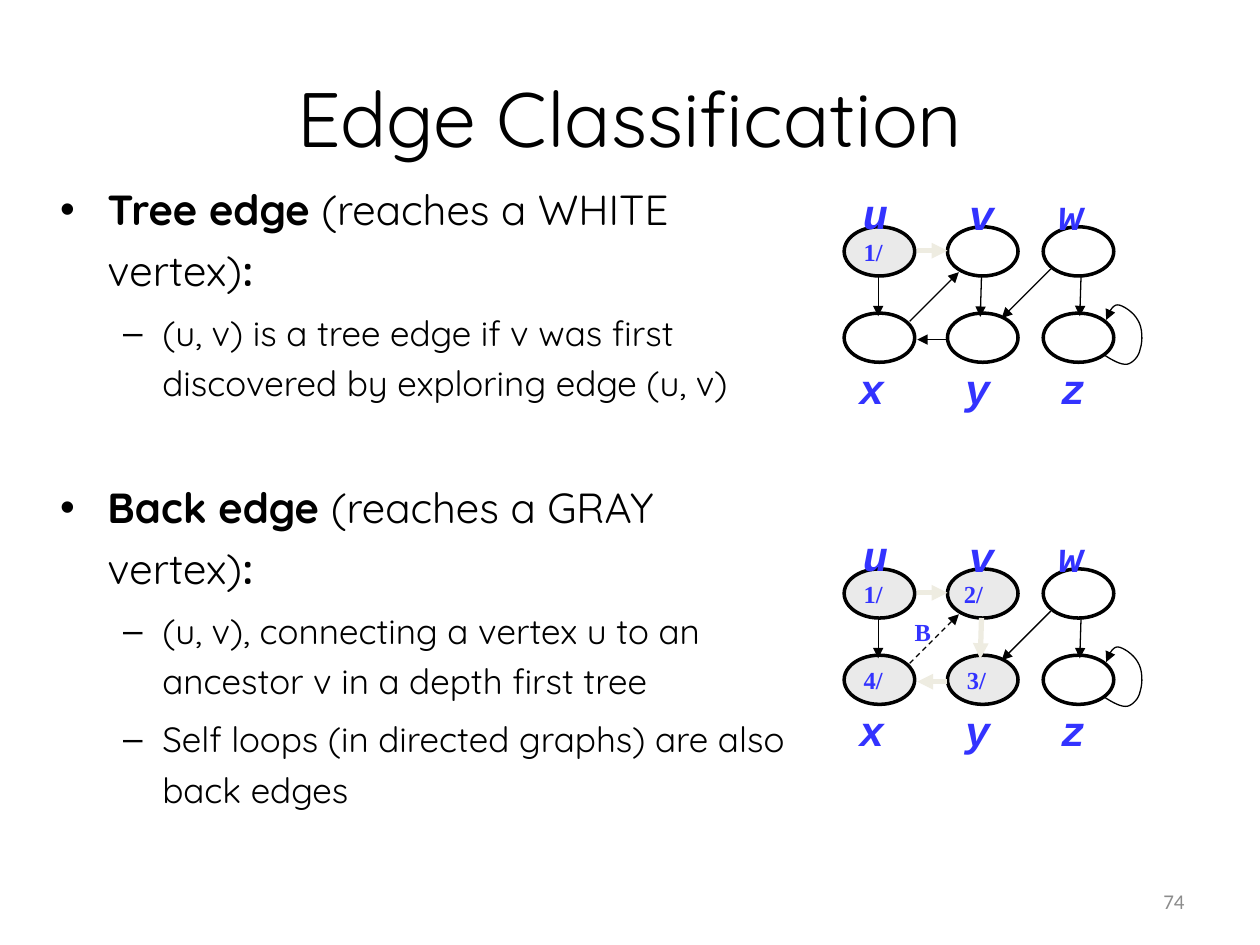
from dataclasses import dataclass, field

import pptx
import pptx.dml.color
import pptx.enum.dml
import pptx.enum.shapes
import pptx.enum.text
import pptx.oxml
import pptx.oxml.ns
import pptx.util

ALIGN = pptx.enum.text.PP_ALIGN
ANCHOR = pptx.enum.text.MSO_ANCHOR


@dataclass(frozen=True)
class Theme:
    cell: float = 0.1
    black: str = "000000"
    blue: str = "3333FF"
    gray: str = "EAEAEA"
    cream: str = "EEECE1"
    mute: str = "8C8C8C"
    sans: str = "Quicksand"
    serif: str = "Times New Roman"
    mono: str = "Courier New"
    foot: str = "Calibri"
    head: int = 44
    main: int = 24
    sub: int = 20
    mark: int = 14
    small: int = 12
    thin: float = 0.75
    rim: float = 2
    thick: float = 3


@dataclass(frozen=True)
class Point:
    level: int
    words: tuple[tuple[str, bool], ...]
    before: float


@dataclass(frozen=True)
class Graph:
    top: float
    marks: dict[str, str]
    tree: set[str]
    back: set[str] = field(default_factory=set)


T = Theme()
COLS, ROWS = (67, 75.2, 82.8), (0, 6.85)
NODE = (5.6, 3.9)
NODES = {name: (COLS[i % 3], ROWS[i // 3]) for i, name in enumerate("uvwxyz")}
NAMES = {
    "u": (67.5, -3.6, 3.2), "v": (75.9, -3.5, 3.1), "w": (83, -3.5, 3.7),
    "x": (67.2, 10.25, 3.1), "y": (75.6, 10.25, 3), "z": (83.2, 10.25, 3.1),
}
EDGES = {
    "ux": (69.7, 3.85, 69.7, 7.1), "vy": (77.9, 3.9, 77.8, 7.15),
    "wz": (85.8, 3.85, 85.7, 7.1), "uv": (72.8, 1.9, 75.2, 1.9),
    "yx": (75.2, 8.95, 72.8, 8.95), "wy": (83.4, 3.35, 79.5, 7.25),
    "xv": (72.2, 7.5, 76.1, 3.6),
}
LOOP = (
    ((87.6, 10.15), (88.3, 10.6), (89, 11), (89.5, 10.9)),
    ((89.5, 10.9), (89.9, 10.8), (90.4, 10.3), (90.5, 9.7)),
    ((90.5, 9.7), (90.7, 9.1), (90.7, 8), (90.3, 7.4)),
    ((90.3, 7.4), (90, 6.8), (89.1, 6.2), (88.7, 6.2)),
    ((88.7, 6.2), (88.3, 6.2), (88, 6.8), (87.8, 7.4)),
)
GRAPHS = (
    Graph(18, {"u": "1/"}, {"uv"}),
    Graph(45.15, {"u": "1/", "v": "2/", "x": "4/", "y": "3/"},
          {"uv", "vy", "yx"}, {"xv"}),
)
POINTS = (
    Point(0, (("Tree edge ", True), ("(reaches a WHITE vertex)", False), (":", True)), 0),
    Point(1, (("(u, v) is a tree edge if v was first discovered by exploring edge (u, v)", False),), 4.6),
    Point(0, (("Back edge ", True), ("(reaches a GRAY vertex)", False), (":", True)), 39),
    Point(1, (("(u, v), connecting a vertex u to an ancestor v in a depth first tree", False),), 4.6),
    Point(1, (("Self loops (in directed graphs) are also back edges", False),), 4.6),
)


def grid(*cells: float) -> list[int]:
    return [pptx.util.Inches(c * T.cell) for c in cells]


def tint(code: str):
    return pptx.dml.color.RGBColor.from_string(code)


def style(run, size: float, face: str, color: str, bold=False, slant=False) -> None:
    font = run.font
    font.size, font.name = pptx.util.Pt(size), face
    font.bold, font.italic = bold, slant
    font.color.rgb = tint(color)


def write(frame, text: str, *look, align=ALIGN.CENTER, anchor=ANCHOR.TOP, wrap=False) -> None:
    frame.text = text
    frame.word_wrap = wrap
    frame.vertical_anchor = anchor
    line = frame.paragraphs[0]
    line.alignment = align
    style(line.runs[0], *look)


def label(shapes, box: tuple, text: str, *look, **place) -> None:
    write(shapes.add_textbox(*grid(*box)).text_frame, text, *look, **place)


def add_tag(owner, tag: str, **values: str) -> None:
    node = pptx.oxml.parse_xml(f"<a:{tag} {pptx.oxml.ns.nsdecls('a')}/>")
    for key, value in values.items():
        node.set(key, value)
    owner.append(node)


def arrow(line, color: str, width: float) -> None:
    line.color.rgb = tint(color)
    line.width = pptx.util.Pt(width)


def draw_node(shapes, left: float, top: float, mark: str) -> None:
    oval = shapes.add_shape(pptx.enum.shapes.MSO_SHAPE.OVAL, *grid(left, top, *NODE))
    oval.shadow.inherit = False
    arrow(oval.line, T.black, T.rim)
    if not mark:
        oval.fill.background()
        return
    oval.fill.solid()
    oval.fill.fore_color.rgb = tint(T.gray)
    frame = oval.text_frame
    frame.margin_left, frame.margin_right = grid(0, 1.5 if mark == "2/" else 1)
    write(frame, mark, T.mark, T.serif, T.blue, True, anchor=ANCHOR.MIDDLE)


def draw_edge(shapes, ends: tuple, top: float, tree: bool, back: bool) -> None:
    x1, y1, x2, y2 = ends
    edge = shapes.add_connector(pptx.enum.shapes.MSO_CONNECTOR.STRAIGHT,
                                *grid(x1, top + y1, x2, top + y2))
    arrow(edge.line, *((T.cream, T.thick) if tree else (T.black, T.thin)))
    if back:
        edge.line.dash_style = pptx.enum.dml.MSO_LINE.DASH
    add_tag(edge.line._get_or_add_ln(), "tailEnd", type="triangle")
    add_tag(edge._element.spPr, "effectLst")


def curve(bend: tuple, t: float) -> tuple[float, ...]:
    share = ((1 - t) ** 3, 3 * t * (1 - t) ** 2, 3 * t * t * (1 - t), t ** 3)
    return tuple(sum(s * p[axis] for s, p in zip(share, bend)) for axis in (0, 1))


def draw_loop(shapes, top: float) -> None:
    steps = 8
    dots = [LOOP[0][0]] + [curve(b, i / steps) for b in LOOP for i in range(1, steps + 1)]
    spots = [tuple(grid(x, top + y)) for x, y in dots]
    pen = shapes.build_freeform(*spots[0])
    pen.add_line_segments(spots[1:], close=False)
    loop = pen.convert_to_shape()
    loop.shadow.inherit = False
    loop.fill.background()
    arrow(loop.line, T.black, T.thin)
    add_tag(loop.line._get_or_add_ln(), "tailEnd", type="triangle")


def draw_graph(slide, graph: Graph) -> None:
    shapes = slide.shapes.add_group_shape().shapes
    for name, (left, row) in NODES.items():
        draw_node(shapes, left, graph.top + row, graph.marks.get(name, ""))
    for name, (left, row, width) in NAMES.items():
        label(shapes, (left, graph.top + row, width, 4), name,
              T.main, T.mono, T.blue, True, True)
    for name, ends in EDGES.items():
        draw_edge(shapes, ends, graph.top, name in graph.tree, name in graph.back)
    draw_loop(shapes, graph.top)
    if graph.back:
        label(shapes, (71.6, graph.top + 3.3, 3.3, 3.3), "B",
              T.mark, T.serif, T.blue, True)


def draw_points(slide) -> None:
    frame = slide.shapes.add_textbox(*grid(3.8, 13.3, 59.6, 58.6)).text_frame
    frame.word_wrap = True
    for i, point in enumerate(POINTS):
        line = frame.paragraphs[0] if i == 0 else frame.add_paragraph()
        left, hang, sign, size = ((3.75, -3.75, "•", T.main), (8.1, -3.1, "–", T.sub))[point.level]
        line.level = point.level
        line.line_spacing = 1.2
        line.space_before = pptx.util.Pt(point.before)
        props = line._p.get_or_add_pPr()
        for key, value in zip(("marL", "indent"), grid(left, hang)):
            props.set(key, str(value))
        add_tag(props, "buFont", typeface="Arial")
        add_tag(props, "buChar", char=sign)
        for text, bold in point.words:
            run = line.add_run()
            run.text = text
            style(run, size, T.sans, T.black, bold)


def main() -> None:
    deck = pptx.Presentation()
    deck.slide_width, deck.slide_height = grid(100, 75)
    slide = deck.slides.add_slide(deck.slide_layouts[6])
    label(slide.shapes, (5, 3, 90, 12.5), "Edge Classification",
          T.head, T.sans, T.black, anchor=ANCHOR.MIDDLE, wrap=True)
    draw_points(slide)
    for graph in GRAPHS:
        draw_graph(slide, graph)
    label(slide.shapes, (71.7, 69.5, 23.3, 4), "74", T.small, T.foot, T.mute,
          align=ALIGN.RIGHT, anchor=ANCHOR.MIDDLE, wrap=True)
    deck.save("out.pptx")


if __name__ == "__main__":
    main()
